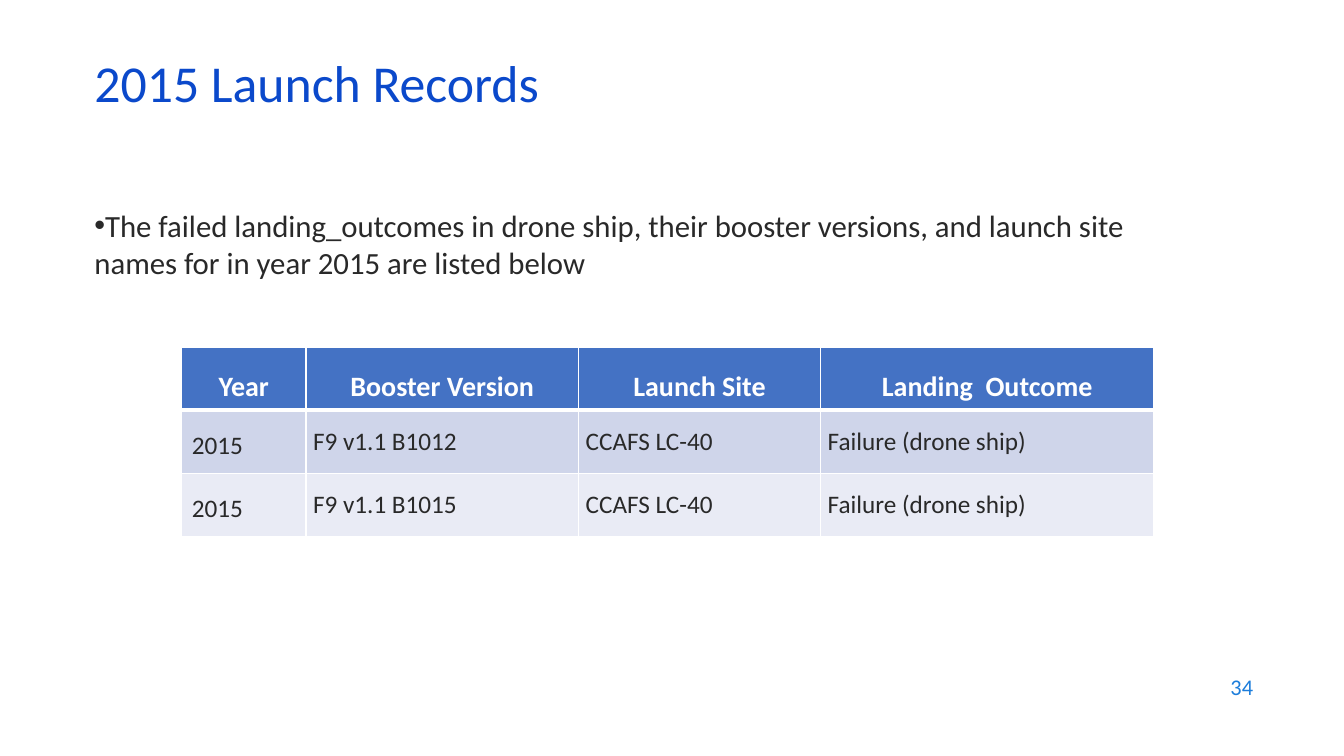
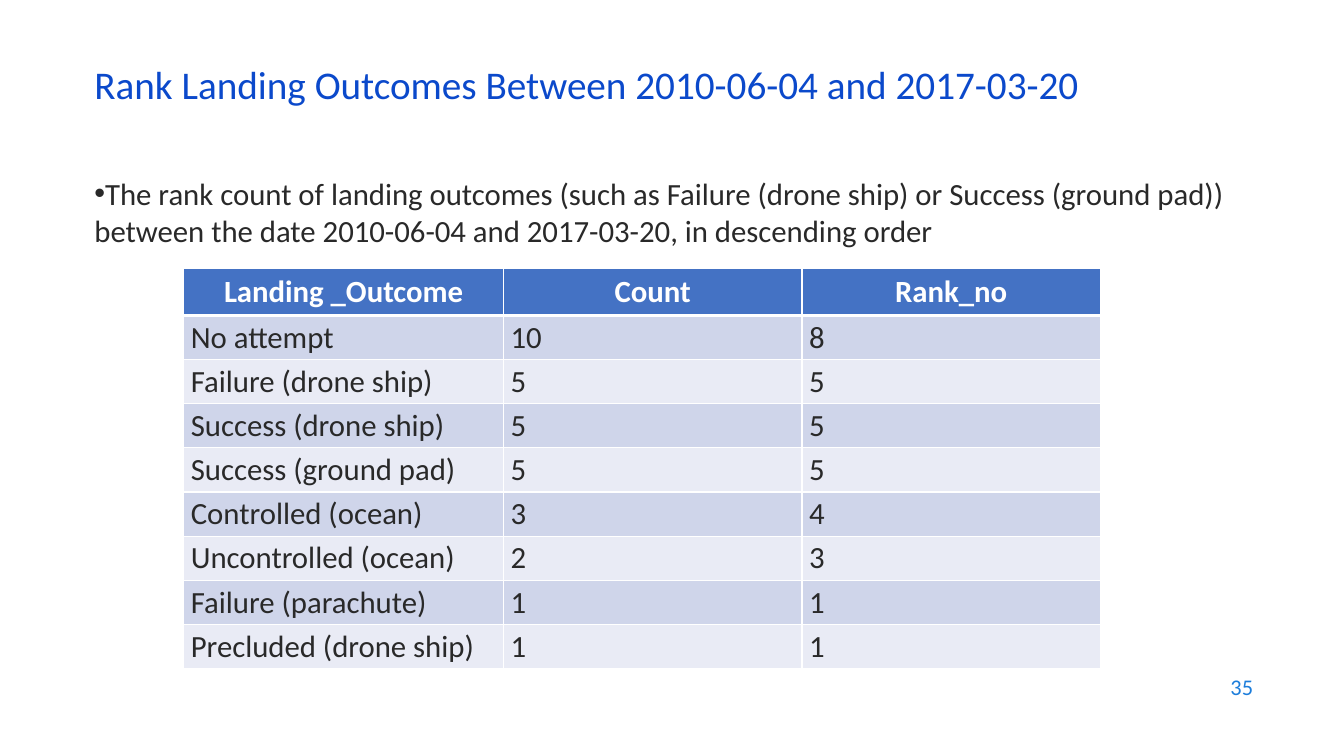
from lxml import etree
from pptx import Presentation
from pptx.dml.color import RGBColor
from pptx.enum.text import MSO_ANCHOR, PP_ALIGN
from pptx.oxml.ns import qn
from pptx.util import Cm, Pt

LEFT, CENTER, RIGHT = PP_ALIGN.LEFT, PP_ALIGN.CENTER, PP_ALIGN.RIGHT
TOP, MIDDLE = MSO_ANCHOR.TOP, MSO_ANCHOR.MIDDLE

COLORS = {
    "title": "0B49CB",
    "text": "292929",
    "number": "1C7DDB",
    "white": "FFFFFF",
    "header": "4472C4",
    "odd_row": "CFD5EA",
    "even_row": "E9EBF5",
}
FONT = "Calibri"
MARGIN_LEFT = 2.13
BODY_BOTTOM = 17.17


class Deck:
    """Holds the shared style and the slide being built."""

    def __init__(self):
        self.presentation = Presentation()
        self.presentation.slide_width = Cm(33.87)
        self.presentation.slide_height = Cm(19.05)
        self.slide = None

    def add_slide(self, title, title_size, number):
        self.slide = self.presentation.slides.add_slide(
            self.presentation.slide_layouts[6])
        # Slide number, then title
        self.text_box(number, (24.21, 16.74, 7.62, 1.12), 16, "number",
                      anchor=MIDDLE, align=RIGHT)
        title_paragraph = self.text_box(title, (MARGIN_LEFT, 1.5, 29.21, 1.52),
                                        title_size, "title", anchor=MIDDLE)
        title_paragraph.line_spacing = 0.7

    def add_text(self, paragraph, text, size, color, align=LEFT, bold=False):
        paragraph.alignment = align
        run = paragraph.add_run()
        run.text = text
        run.font.name = FONT
        run.font.size = Pt(size)
        run.font.bold = bold
        run.font.color.rgb = RGBColor.from_string(COLORS[color])

    def text_box(self, text, box, size, color, anchor=TOP, align=LEFT):
        shape = self.slide.shapes.add_textbox(*map(Cm, box))
        frame = shape.text_frame
        frame.word_wrap = True
        frame.vertical_anchor = anchor
        paragraph = frame.paragraphs[0]
        self.add_text(paragraph, text, size, color, align)
        return paragraph

    def bullet(self, text, top, width):
        box = (MARGIN_LEFT, top, width, BODY_BOTTOM - top)
        paragraph = self.text_box(text, box, 22, "text")
        properties = paragraph._p.get_or_add_pPr()
        properties.set("marL", "0")
        properties.set("indent", "0")
        etree.SubElement(properties, qn("a:buFont"), typeface="Arial")
        etree.SubElement(properties, qn("a:buChar"), char="•")

    def borders(self, cell, top, bottom):
        properties = cell._tc.get_or_add_tcPr()
        for side, width in (("L", 1), ("R", 1), ("T", top), ("B", bottom)):
            line = etree.SubElement(properties, qn("a:ln" + side), w=str(Pt(width)))
            fill = etree.SubElement(line, qn("a:solidFill"))
            etree.SubElement(fill, qn("a:srgbClr"), val=COLORS["white"])

    def table(self, rows, left, top, widths, heights, header_size, body_size,
              spaced_columns=()):
        """Banded table; spaced columns keep wide lines and default insets."""
        shape = self.slide.shapes.add_table(
            len(rows), len(widths), Cm(left), Cm(top),
            Cm(sum(widths)), Cm(sum(heights)))
        table = shape.table
        for column, width in zip(table.columns, widths):
            column.width = Cm(width)
        for row, height in zip(table.rows, heights):
            row.height = Cm(height)

        for row_index, values in enumerate(rows):
            is_header = row_index == 0
            if is_header:
                fill = "header"
            else:
                fill = "odd_row" if row_index % 2 else "even_row"
            for column_index, value in enumerate(values):
                cell = table.cell(row_index, column_index)
                self.borders(cell, top=3 if row_index == 1 else 1,
                             bottom=3 if is_header else 1)
                cell.fill.solid()
                cell.fill.fore_color.rgb = RGBColor.from_string(COLORS[fill])
                paragraph = cell.text_frame.paragraphs[0]
                if is_header:
                    self.add_text(paragraph, value, header_size, "white", CENTER, True)
                else:
                    self.add_text(paragraph, value, body_size, "text")
                if column_index in spaced_columns or (is_header and spaced_columns):
                    paragraph.line_spacing = 1.5
                elif not is_header:
                    cell.vertical_anchor = MIDDLE
                    cell.margin_left = cell.margin_right = Cm(0.18)
                    cell.margin_top = cell.margin_bottom = Cm(0.09)


def main():
    deck = Deck()

    # Launch records
    deck.add_slide("2015 Launch Records", 37, "34")
    deck.bullet("The failed landing_outcomes in drone ship, their booster versions, "
                "and launch site names for in year 2015 are listed below", 5.08, 27.08)
    launches = [("Year", "Booster Version", "Launch Site", "Landing  Outcome")]
    launches += [("2015", booster, "CCAFS LC-40", "Failure (drone ship)")
                 for booster in ("F9 v1.1 B1012", "F9 v1.1 B1015")]
    deck.table(launches, 4.58, 8.75, (3.13, 6.87, 6.1, 8.4), [1.59] * 3,
               20, 18, spaced_columns=(0,))

    # Ranked landing outcomes
    deck.add_slide("Rank Landing Outcomes Between 2010-06-04 and 2017-03-20", 28, "35")
    deck.bullet("The rank count of landing outcomes (such as Failure (drone ship) or "
                "Success (ground pad)) between the date 2010-06-04 and 2017-03-20, "
                "in descending order", 4.27, 29.46)
    outcomes = [
        ("Landing _Outcome", "Count", "Rank_no"),
        ("No attempt", "10", "8"),
        ("Failure (drone ship)", "5", "5"),
        ("Success (drone ship)", "5", "5"),
        ("Success (ground pad)", "5", "5"),
        ("Controlled (ocean)", "3", "4"),
        ("Uncontrolled (ocean)", "2", "3"),
        ("Failure (parachute)", "1", "1"),
        ("Precluded (drone ship)", "1", "1"),
    ]
    deck.table(outcomes, 4.63, 6.76, (8.06, 7.52, 7.52), [1.19] + [1.11] * 8, 22, 22)

    deck.presentation.save("out.pptx")


if __name__ == "__main__":
    main()
